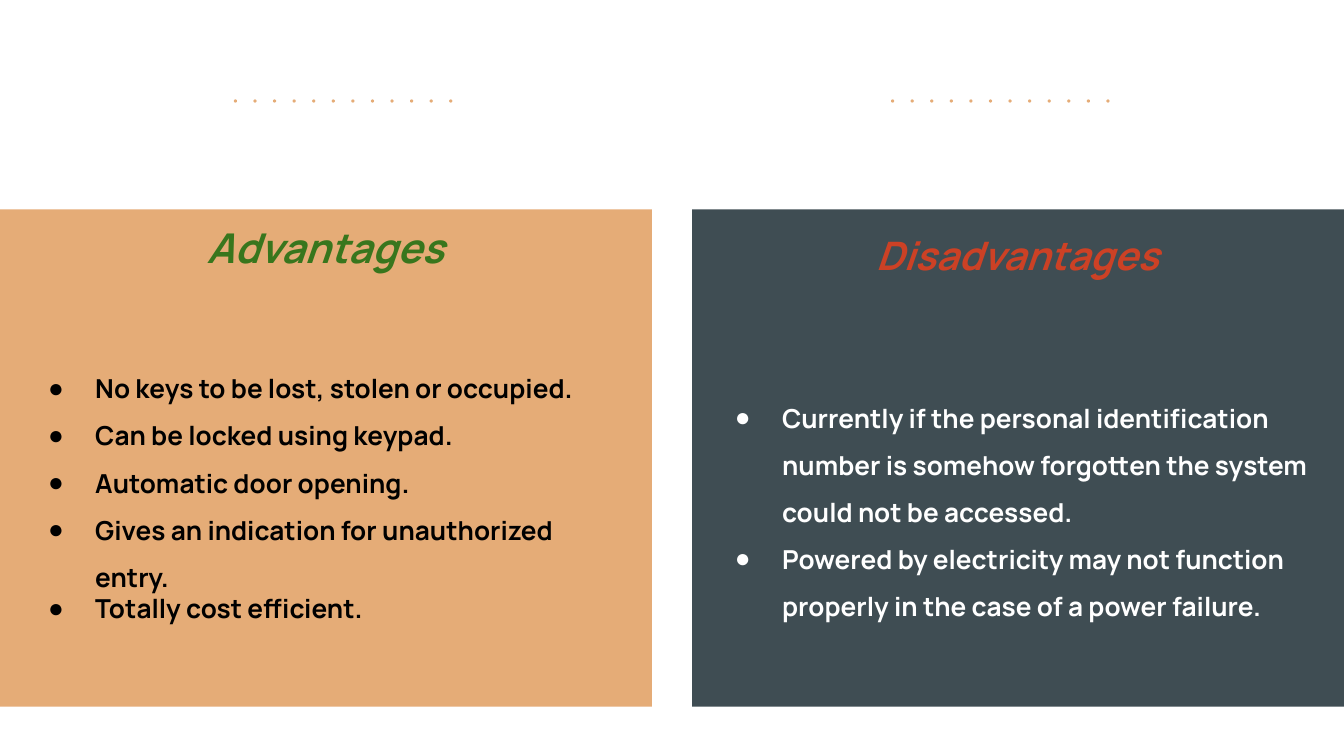
"""Build a slide that sets advantages beside disadvantages."""
from lxml import etree
from pptx import Presentation
from pptx import util as u
from pptx.dml.color import RGBColor
from pptx.enum import shapes, text
from pptx.oxml.ns import qn

SAND, SLATE = "E5AC77", "3F4D53"
BLACK, WHITE = "000000", "FFFFFF"
GREEN, RED = "38761D", "CC4125"


def tint(code):
    return RGBColor.from_string(code)


def write(para, words, size=14, color=BLACK, italic=False, align=None, lead=1.0):
    para.alignment = align
    para.line_spacing = lead
    para.space_before = para.space_after = u.Pt(0)
    run = para.add_run()
    run.text = words
    font = run.font
    font.name, font.size = "Manrope", u.Pt(size)
    font.bold, font.italic = True, italic
    font.color.rgb = tint(color)


def bullet(para, color):
    props = para._p.get_or_add_pPr()
    props.set("marL", str(u.Cm(1.27)))
    props.set("indent", str(u.Cm(-0.89)))
    fill = etree.SubElement(props, qn("a:buClr"))
    etree.SubElement(fill, qn("a:srgbClr"), val=color)
    etree.SubElement(props, qn("a:buChar"), char="●")


class Deck:
    def __init__(self):
        self.prs = Presentation()
        self.prs.slide_width, self.prs.slide_height = u.Cm(25.4), u.Cm(14.29)
        self.slide = self.prs.slides.add_slide(self.prs.slide_layouts[4])
        self.slots = {s.placeholder_format.idx: s for s in self.slide.placeholders}
        self.base = self.slots[0].element

    def paint(self, shape, color):
        shape.shadow.inherit = False
        shape.fill.solid()
        shape.fill.fore_color.rgb = tint(color)
        shape.line.fill.background()

    def panel(self, left, color):
        box = self.slide.shapes.add_shape(
            shapes.MSO_SHAPE.RECTANGLE, u.Cm(left), u.Cm(3.96), u.Cm(12.32), u.Cm(9.4))
        self.paint(box, color)
        self.base.addprevious(box.element)

    def frame(self, idx, area, anchor):
        slot = self.slots[idx]
        slot.left, slot.top, slot.width, slot.height = map(u.Cm, area)
        body = slot.text_frame
        body.word_wrap = True
        body.auto_size = text.MSO_AUTO_SIZE.NONE
        body.vertical_anchor = anchor
        body.margin_left = body.margin_right = u.Cm(0.25)
        body.margin_top = body.margin_bottom = u.Cm(0.25)
        return body

    def title(self, idx, left, top, words, size, color):
        body = self.frame(idx, (left, top, 6.45, 1.32), text.MSO_ANCHOR.BOTTOM)
        write(body.paragraphs[0], words, size=size, color=color, italic=True,
              align=text.PP_ALIGN.CENTER)

    def points(self, idx, area, items, color):
        body = self.frame(idx, area, text.MSO_ANCHOR.MIDDLE)
        for n, (words, lead) in enumerate(items):
            para = body.add_paragraph() if n else body.paragraphs[0]
            write(para, words, color=color, lead=lead, align=text.PP_ALIGN.LEFT)
            bullet(para, color)

    def dots(self, left):
        group = self.slide.shapes.add_group_shape()
        for n in range(12):
            dot = group.shapes.add_shape(
                shapes.MSO_SHAPE.OVAL, u.Cm(left + 0.37 * n), u.Cm(1.88),
                u.Cm(0.06), u.Cm(0.06))
            self.paint(dot, SAND)

    def drop(self, idx):
        node = self.slots[idx].element
        node.getparent().remove(node)

    def save(self):
        self.prs.save("out.pptx")


def main():
    deck = Deck()
    deck.panel(13.08, SLATE)
    deck.panel(0, SAND)
    deck.title(0, 2.92, 4.06, "Advantages", 22, GREEN)
    deck.points(2, (0.28, 6.12, 11.79, 6.3), [
        ("No keys to be lost, stolen or occupied.", 1.5),
        ("Can be locked using keypad.", 1.5),
        ("Automatic door opening.", 1.5),
        ("Gives an indication for unauthorized entry.", 1.5),
        ("Totally cost efficient.", 1.0),
    ], BLACK)
    deck.title(3, 16, 4.19, "Disadvantages", 21, RED)
    deck.points(4, (13.26, 6.12, 11.94, 6.81), [
        ("Currently if the personal identification number is somehow "
         "forgotten the system could not be accessed.", 1.5),
        ("Powered by electricity may not function properly in the case "
         "of a power failure.", 1.5),
    ], WHITE)
    deck.drop(1)
    for left in (16.84, 4.42):
        deck.dots(left)
    deck.save()


if __name__ == "__main__":
    main()
